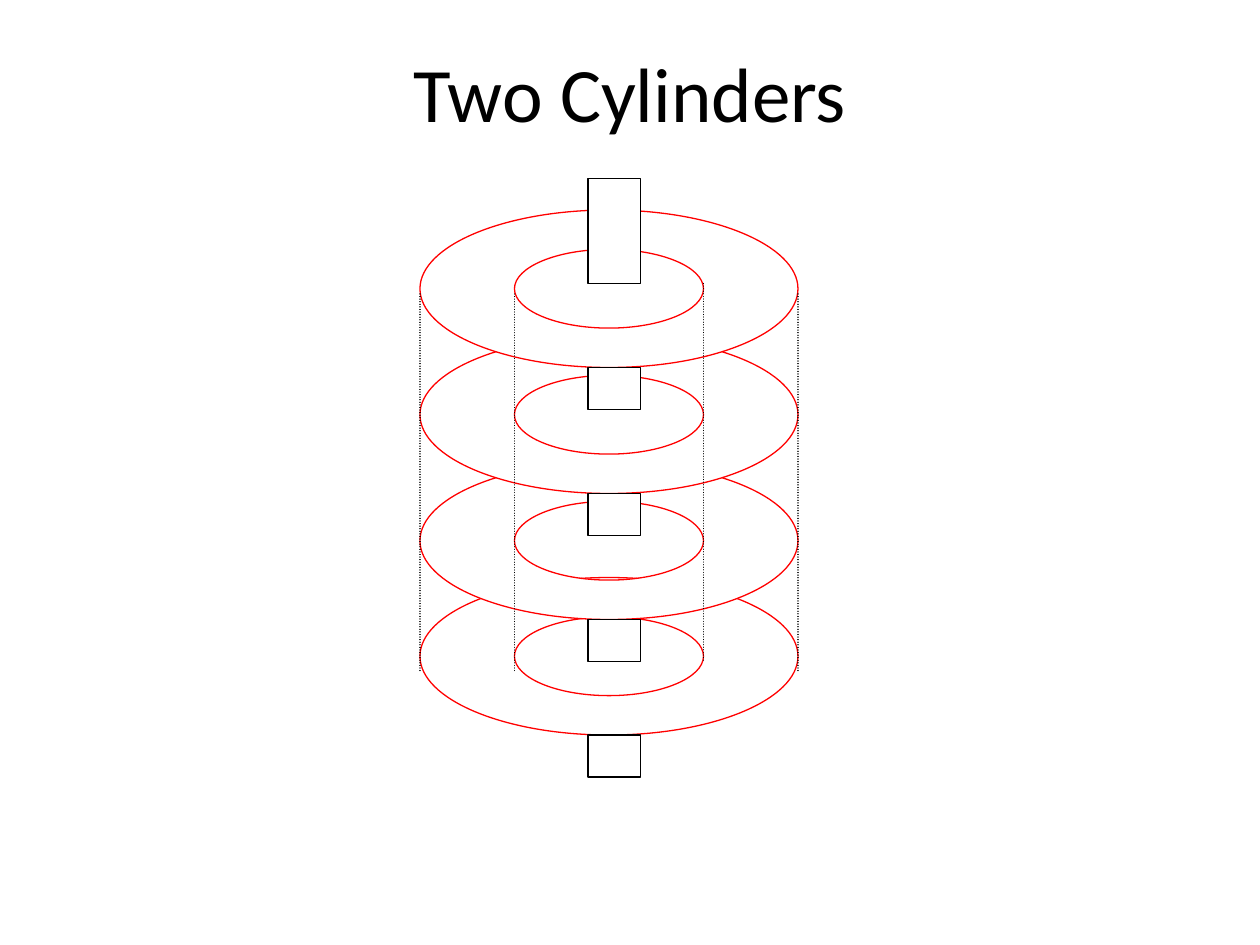
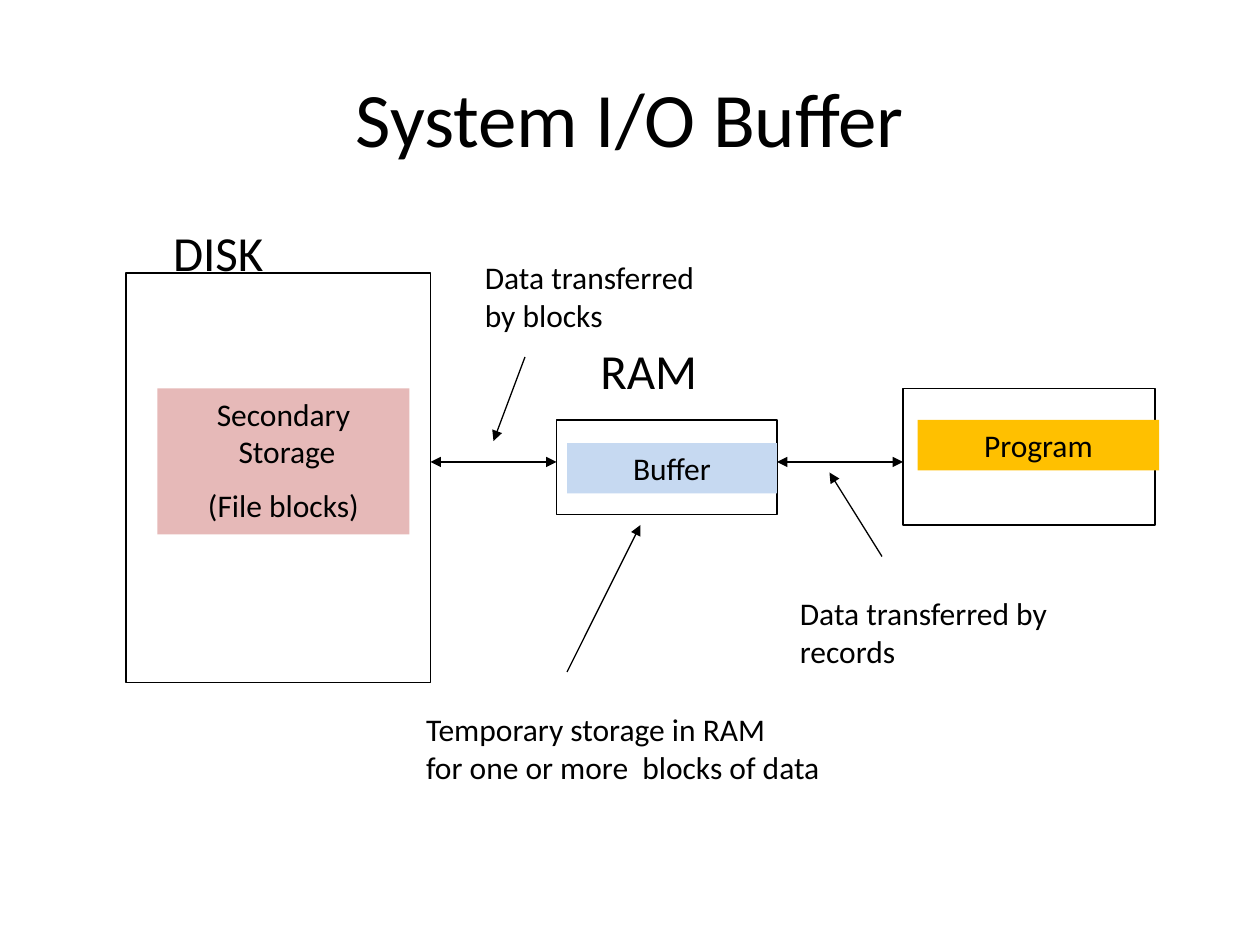
from lxml import etree
from pptx import Presentation
from pptx import util as u
from pptx.dml.color import RGBColor
from pptx.enum import dml, shapes, text
from pptx.oxml.ns import qn

PX = u.Inches(1) // 120  # one px is 1/120 inch
FONT = "Calibri"
COLORS = {
    "ink": "000000", "paper": "FFFFFF", "ring": "FF0000",
    "storage": "E6B9B8", "buffer": "C6D9F1", "program": "FFC000",
}
BEND = 0.55  # handle length of a quarter ellipse, as a share of its radius

# Slide 1: platters on a spindle, listed from top to bottom
CYLINDERS_TITLE = ("Two Cylinders", (60, 36, 1080, 102))
PLATTER_TOPS = [200, 320, 440, 550]
PLATTER_CENTER, PLATTER_W, PLATTER_H = 580, 360, 150
SPINDLE_X, SPINDLE_W = 560, 50
SPINDLE_TIP, SPINDLE_GAP = (170, 100), 40
CYLINDER_EDGES = [(670, 270), (490, 280), (760, 280), (400, 280)]  # x, top
CYLINDER_H = 360

# Slide 2: data flow from disk through memory to the program
BUFFER_TITLE = ("System I/O Buffer", (60, 36, 1080, 150))
FRAMES = [(120, 260, 290, 390), (530, 400, 210, 90), (860, 370, 240, 130)]
LABELS = [
    (["Secondary\n Storage", "(File blocks)"], "storage", (150, 370, 240, 139)),
    (["Buffer"], "buffer", (540, 422, 200, 48)),
    (["Program"], "program", (874, 400, 230, 48)),
]
NOTES = [
    ("Data transferred \nby blocks", 18, (450, 240, 350, 85)),
    ("Temporary storage in RAM\nfor one or more  blocks of data", 18, (394, 670, 403, 85)),
    ("Data transferred by records", 18, (750, 560, 320, 85)),
    ("RAM", 28, (560, 318, 125, 68)),
    ("DISK", 28, (153, 206, 175, 68)),
]
TRANSFERS = [(410, 440, 530, 440), (740, 440, 860, 440)]
POINTERS = [(500, 340, 470, 420), (540, 640, 610, 500), (840, 530, 790, 450)]


def px(values):
    return [round(value * PX) for value in values]


def rgb(name):
    return RGBColor.from_string(COLORS[name])


def write(frame, paragraphs, size=18, align=text.PP_ALIGN.LEFT, before=0,
          anchor=text.MSO_ANCHOR.TOP, fit=text.MSO_AUTO_SIZE.SHAPE_TO_FIT_TEXT):
    frame.word_wrap = True
    frame.auto_size = fit
    frame.vertical_anchor = anchor
    for index, words in enumerate(paragraphs):
        para = frame.add_paragraph() if index else frame.paragraphs[0]
        para.text = words
        para.alignment = align
        para.space_before = u.Pt(before)
        for span in para.runs:
            span.font.name = FONT
            span.font.size = u.Pt(size)
            span.font.color.rgb = rgb("ink")


def paint(shape, fill=None, line=None):
    shape.shadow.inherit = False
    if fill:
        shape.fill.solid()
        shape.fill.fore_color.rgb = rgb(fill)
    else:
        shape.fill.background()
    if line:
        shape.line.color.rgb = rgb(line)
        shape.line.width = u.Pt(0.75)
    else:
        shape.line.fill.background()


def add_page(deck, title, area):
    page = deck.slides.add_slide(deck.slide_layouts[5])
    box = page.shapes.title
    box.left, box.top, box.width, box.height = px(area)
    write(box.text_frame, [title], size=44, align=text.PP_ALIGN.CENTER,
          anchor=text.MSO_ANCHOR.MIDDLE, fit=text.MSO_AUTO_SIZE.NONE)
    return page


def add_box(page, area, fill=None, line=None):
    box = page.shapes.add_shape(shapes.MSO_SHAPE.RECTANGLE, *px(area))
    paint(box, fill, line)
    return box


def add_line(page, ends, dash=None, heads=()):
    line = page.shapes.add_connector(shapes.MSO_CONNECTOR.STRAIGHT, *px(ends))
    line.line.color.rgb = rgb("ink")
    line.line.width = u.Pt(0.75)
    outline = line.line._get_or_add_ln()
    if dash:
        line.line.dash_style = dash
        outline.set("cap", "rnd")
    for head in heads:
        etree.SubElement(outline, qn(f"a:{head}"), type="triangle")
    etree.SubElement(line._element.spPr, qn("a:effectLst"))


def diamond(center_x, center_y, width, height):
    """Left, top, right and bottom of an ellipse, back to the left."""
    left = (center_x - width / 2, center_y)
    top = (center_x, center_y - height / 2)
    right = (center_x + width / 2, center_y)
    bottom = (center_x, center_y + height / 2)
    return [px(point) for point in (left, top, right, bottom, left)]


def round_corners(shape):
    """Turn each straight side of the diamonds into a quarter ellipse."""
    outline = shape._element.spPr.find(f".//{qn('a:path')}")
    for step in list(outline):
        if step.tag == qn("a:close"):
            continue
        end_x, end_y = (int(step[0].get(axis)) for axis in "xy")
        if step.tag == qn("a:moveTo"):
            upright = True
        else:
            bend_x, bend_y = BEND * (end_x - x), BEND * (end_y - y)
            if upright:
                handles = [(x, y + bend_y), (end_x - bend_x, end_y)]
            else:
                handles = [(x + bend_x, y), (end_x, end_y - bend_y)]
            step.tag = qn("a:cubicBezTo")
            for index, (handle_x, handle_y) in enumerate(handles):
                handle = etree.Element(qn("a:pt"), x=str(round(handle_x)), y=str(round(handle_y)))
                step.insert(index, handle)
            upright = not upright
        x, y = end_x, end_y


def add_platter(page, top):
    center = (PLATTER_CENTER, top + PLATTER_H / 2)
    rim = diamond(*center, PLATTER_W, PLATTER_H)
    hole = diamond(*center, PLATTER_W / 2, PLATTER_H / 2)[::-1]
    builder = page.shapes.build_freeform(*rim[0])
    builder.add_line_segments(rim[1:], close=True)
    builder.move_to(*hole[0])
    builder.add_line_segments(hole[1:], close=True)
    platter = builder.convert_to_shape()
    round_corners(platter)
    paint(platter, "paper", "ring")


def build_cylinders(deck):
    page = add_page(deck, *CYLINDERS_TITLE)
    # Lower platters lie behind upper ones
    for top in reversed(PLATTER_TOPS):
        add_platter(page, top)
    # Spindle pieces: the tip, then one below each platter
    pieces = [SPINDLE_TIP] + [(top + PLATTER_H, SPINDLE_GAP) for top in PLATTER_TOPS]
    for top, height in pieces:
        add_box(page, (SPINDLE_X, top, SPINDLE_W, height), "paper", "ink")
    # Dotted sides of both cylinders
    for x, top in CYLINDER_EDGES:
        add_line(page, (x, top, x, top + CYLINDER_H), dash=dml.MSO_LINE.ROUND_DOT)


def build_buffer(deck):
    page = add_page(deck, *BUFFER_TITLE)
    # Frames and arrows
    for area in FRAMES:
        add_box(page, area, line="ink")
    for ends in TRANSFERS:
        add_line(page, ends, heads=("headEnd", "tailEnd"))
    for ends in POINTERS:
        add_line(page, ends, heads=("tailEnd",))
    # Coloured labels and free notes
    for paragraphs, fill, area in LABELS:
        write(add_box(page, area, fill).text_frame, paragraphs,
              align=text.PP_ALIGN.CENTER, before=9)
    for words, size, area in NOTES:
        write(page.shapes.add_textbox(*px(area)).text_frame, [words], size=size)


def main():
    deck = Presentation()
    deck.slide_width, deck.slide_height = px((1200, 900))
    build_cylinders(deck)
    build_buffer(deck)
    deck.save("out.pptx")


if __name__ == "__main__":
    main()
